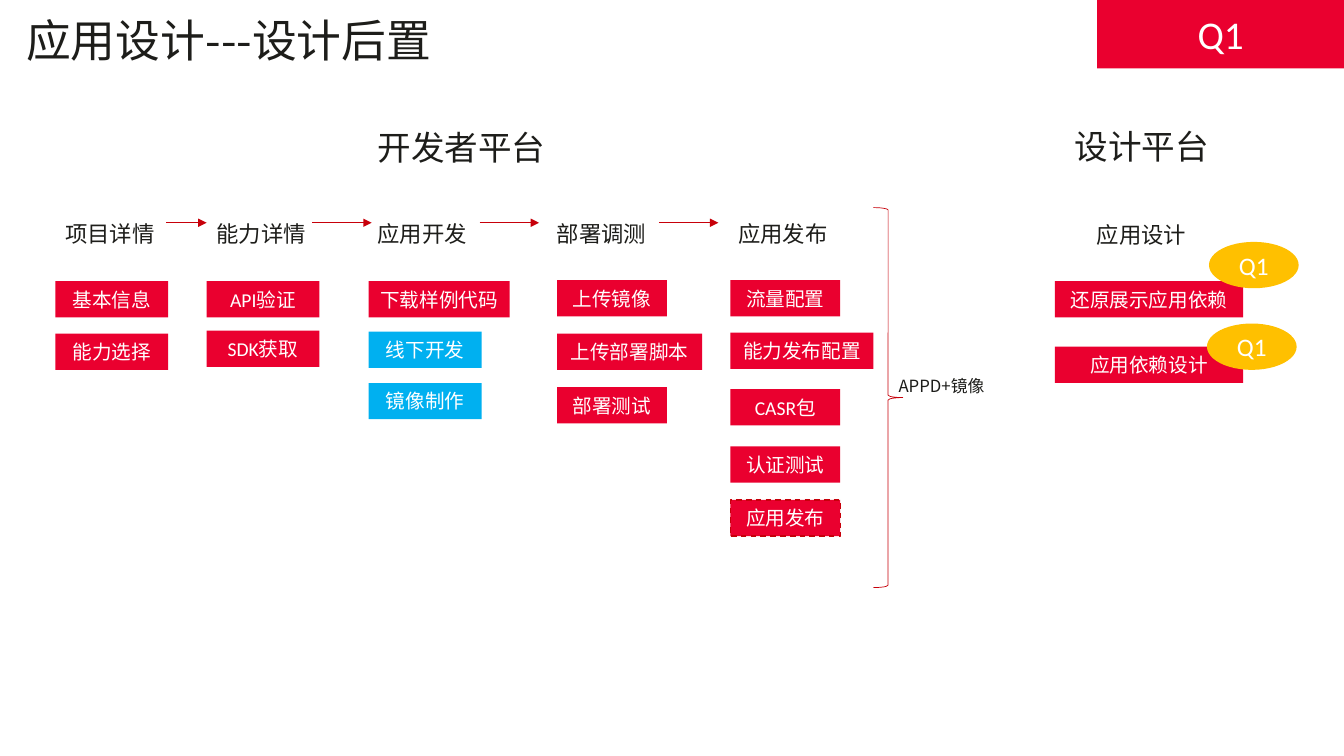
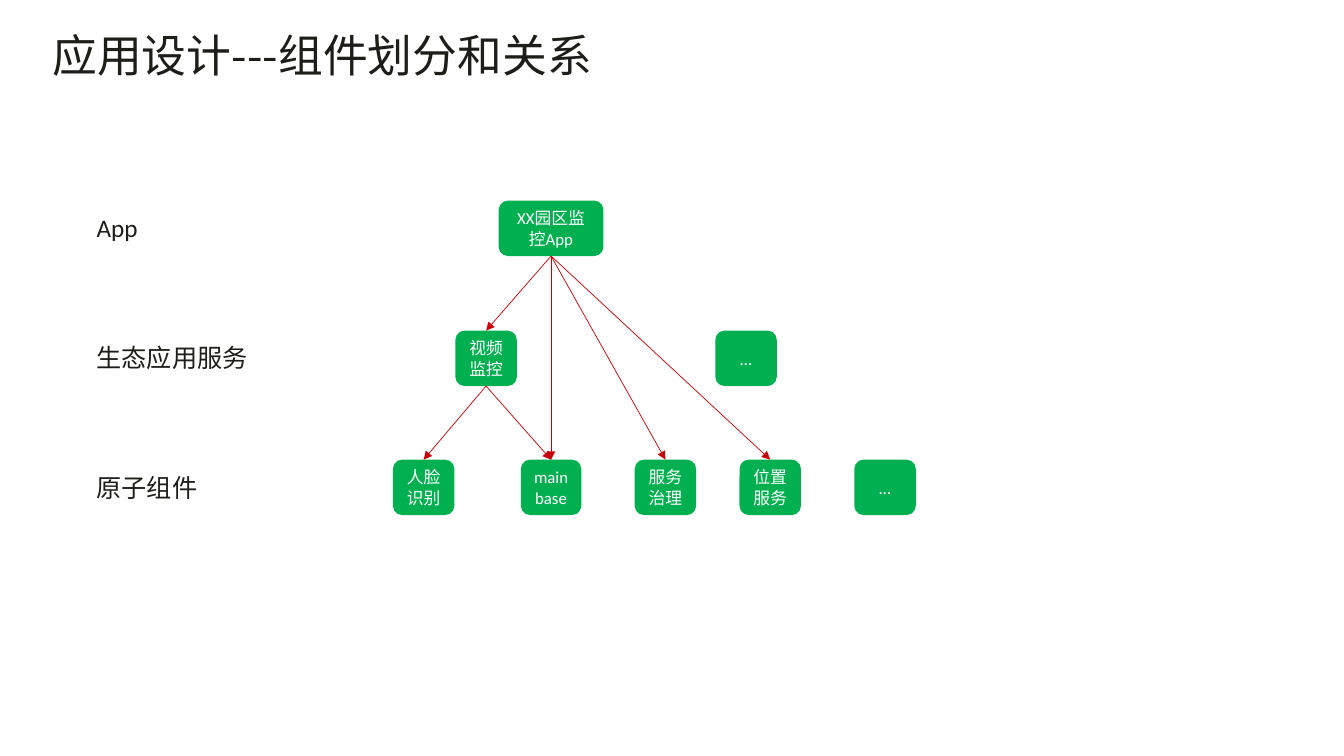
from pptx import Presentation
from pptx import util as u
from pptx.dml.color import RGBColor
from pptx.enum import dml, shapes, text
from pptx.oxml.ns import qn
from lxml import etree

PX = 9144
COLORS = {"ink": "1D1D1A", "white": "FFFFFF", "red": "EA002F", "line": "C7000A",
          "blue": "00B0F0", "amber": "FFC000", "green": "00B050"}
CJK, LATIN = "Noto Sans CJK SC", "Calibri"
SHAPE = shapes.MSO_SHAPE

TITLE = {"size": 32, "spacing": 34.3}
SECTION = {"size": 24, "spacing": 34.4}
STAGE = {"size": 16, "spacing": 34.4}
NOTE = {"size": 12}
LAYER = {"size": 18, "font": LATIN}

TITLES = [("应用设计---设计后置", 26, 18), ("应用设计---组件划分和关系", 52, 33)]

SECTIONS = [("开发者平台", 365, 113, 188), ("设计平台", 1057, 112, 155)]
BOX_H = 36
STAGES = [
    ("项目详情", 55, 192, 55, 112, [("基本信息", 279), ("能力选择", 331)]),
    ("能力详情", 205, 192, 205, 112, [("API验证", 279), ("SDK获取", 328)]),
    ("应用开发", 365, 192, 366, 112,
     [("下载样例代码", 279, 140), ("线下开发", 329, 112, "blue"), ("镜像制作", 380, 112, "blue")]),
    ("部署调测", 543, 192, 553, 109,
     [("上传镜像", 278), ("上传部署脚本", 331, 144), ("部署测试", 384)]),
    ("应用发布", 723, 192, 725, 109,
     [("流量配置", 278), ("能力发布配置", 330, 142), ("CASR包", 386), ("认证测试", 443),
      ("应用发布", 496, 109, "red", True)]),
    ("应用设计", 1079, 193, 1047, 187, [("还原展示应用依赖", 279), ("应用依赖设计", 344)]),
]
STAGE_ARROWS = [(165, 205), (310, 369), (476, 535), (654, 713)]
ARROW_Y = 221
BADGES = [(1200, 240), (1198, 321)]

NODE_W, NODE_H = 61, 55
LAYERS = [
    ("App", 206, 61, 199, [("XX园区监控App", 495, 104)]),
    ("生态应用服务", 335, 172, 328, [("视频监控", 452), ("…", 710)]),
    ("原子组件", 464, 121, 456,
     [("人脸识别", 390), ("mainbase", 517, 60), ("服务治理", 630), ("位置服务", 734), ("…", 848)]),
]
LINKS = [("XX园区监控App", ["视频监控", "mainbase", "服务治理", "位置服务"]),
         ("视频监控", ["人脸识别", "mainbase"])]


def rgb(name):
    return RGBColor.from_string(COLORS[name])


def box(*lengths):
    return [n * PX for n in lengths]


def write(tf, words, size, font=CJK, color="ink", align=text.PP_ALIGN.LEFT, spacing=None, **frame):
    for key, value in frame.items():
        setattr(tf, key, value)
    p = tf.paragraphs[0]
    p.alignment = align
    if spacing:
        p.line_spacing = u.Pt(spacing)
    r = p.add_run()
    r.text = words
    for key, value in {"name": font, "size": u.Pt(size), "bold": False}.items():
        setattr(r.font, key, value)
    r.font.color.rgb = rgb(color)
    etree.SubElement(r.font._element, qn("a:ea")).set("typeface", CJK)


def add_label(s, words, x, y, w, h, style, wrap=False):
    sp = s.shapes.add_textbox(*box(x, y, w, h))
    write(sp.text_frame, words, word_wrap=wrap,
          auto_size=text.MSO_AUTO_SIZE.SHAPE_TO_FIT_TEXT, **style)


def add_block(s, kind, words, x, y, w, h, fill, size, dashed=False):
    sp = s.shapes.add_shape(kind, *box(x, y, w, h))
    sp.shadow.inherit = False
    sp.fill.solid()
    sp.fill.fore_color.rgb = rgb(fill)
    if dashed:
        sp.line.color.rgb = rgb("line")
        sp.line.width = u.Pt(1)
        sp.line.dash_style = dml.MSO_LINE.DASH
    else:
        sp.line.fill.background()
    write(sp.text_frame, words, size, LATIN, "white", text.PP_ALIGN.CENTER,
          word_wrap=True, vertical_anchor=text.MSO_ANCHOR.MIDDLE)
    return sp


def add_arrow(s, x1=0, y1=0, x2=0, y2=0, start=None, end=None):
    c = s.shapes.add_connector(shapes.MSO_CONNECTOR.STRAIGHT, *box(x1, y1, x2, y2))
    if start is not None:
        c.begin_connect(start, 2)
        c.end_connect(end, 0)
    c.line.color.rgb = rgb("line")
    c.line.width = u.Pt(0.5)
    etree.SubElement(c.line._get_or_add_ln(), qn("a:tailEnd")).set("type", "triangle")
    etree.SubElement(c._element.spPr, qn("a:effectLst"))


def add_slide(prs, title, x, y):
    s = prs.slides.add_slide(prs.slide_layouts[5])
    sp = s.shapes.title
    sp.left, sp.top, sp.width, sp.height = box(x, y, 1175, 109)
    write(sp.text_frame, title, margin_left=0, margin_top=0, margin_right=0, margin_bottom=0,
          word_wrap=True, auto_size=text.MSO_AUTO_SIZE.NONE,
          vertical_anchor=text.MSO_ANCHOR.TOP, **TITLE)
    return s


def build_flow(s):
    for words, x, y, w in SECTIONS:
        add_label(s, words, x, y, w, 58, SECTION)
    for name, name_x, name_y, left, width, steps in STAGES:
        add_label(s, name, name_x, name_y, 110, 58, STAGE)
        for words, y, *extra in steps:
            w, fill, dashed = extra + [width, "red", False][len(extra):]
            add_block(s, SHAPE.RECTANGLE, words, left, y, w, BOX_H, fill, 14, dashed)
    for x1, x2 in STAGE_ARROWS:
        add_arrow(s, x1, ARROW_Y, x2, ARROW_Y)
    brace = s.shapes.add_shape(SHAPE.RIGHT_BRACE, *box(867, 206, 29, 377))
    brace.shadow.inherit = False
    brace.fill.background()
    brace.line.color.rgb = rgb("line")
    brace.line.width = u.Pt(0.5)
    add_label(s, "APPD+镜像", 882, 368, 145, 30, NOTE, wrap=True)
    for x, y in BADGES:
        add_block(s, SHAPE.OVAL, "Q1", x, y, 89, 46, "amber", 18)
    add_block(s, SHAPE.RECTANGLE, "Q1", 1089, 0, 245, 68, "red", 28)


def build_components(s):
    nodes = {}
    for name, name_y, name_w, y, parts in LAYERS:
        add_label(s, name, 86, name_y, name_w, 40, LAYER)
        for words, x, *w in parts:
            nodes[words] = add_block(s, SHAPE.ROUNDED_RECTANGLE, words, x, y,
                                     w[0] if w else NODE_W, NODE_H, "green", 12)
    for source, targets in LINKS:
        for target in targets:
            add_arrow(s, start=nodes[source], end=nodes[target])


def main():
    prs = Presentation()
    prs.slide_width, prs.slide_height = box(1334, 750)
    for title, build in zip(TITLES, (build_flow, build_components)):
        build(add_slide(prs, *title))
    prs.save("out.pptx")


if __name__ == "__main__":
    main()
